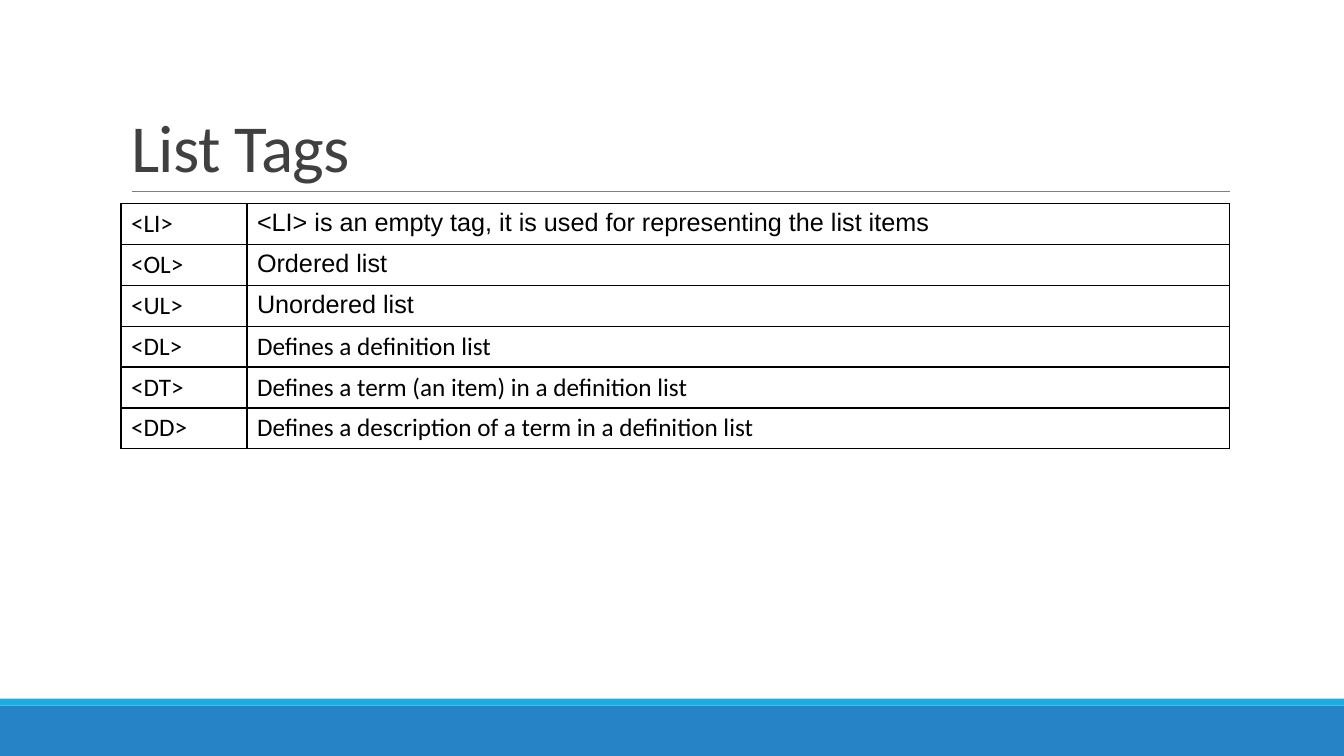
from lxml import etree
from pptx import Presentation
from pptx.dml.color import RGBColor
from pptx.enum.shapes import MSO_CONNECTOR, MSO_SHAPE
from pptx.enum.text import MSO_ANCHOR, MSO_AUTO_SIZE, PP_ALIGN
from pptx.oxml.ns import qn
from pptx.util import Pt

RECT = MSO_SHAPE.RECTANGLE
STRAIGHT = MSO_CONNECTOR.STRAIGHT
BOTTOM = MSO_ANCHOR.BOTTOM
NO_AUTOFIT = MSO_AUTO_SIZE.NONE
LEFT = PP_ALIGN.LEFT

WIDTH, HEIGHT = 960, 540
TITLE_ONLY = 5
ROW_HEIGHT = 29.2
LIST_TAGS = [
    ("<LI>", "<LI> is an empty tag, it is used for representing the list items", "Arial"),
    ("<OL>", "Ordered list", "Arial"),
    ("<UL>", "Unordered list", "Arial"),
    ("<DL>", "Defines a definition list", "Calibri"),
    ("<DT>", "Defines a term (an item) in a definition list", "Calibri"),
    ("<DD>", "Defines a description of a term in a definition list", "Calibri"),
]


def rgb(value):
    return RGBColor.from_string(value)


def write(tf, text, font="Calibri", size=18, color="000000", line_spacing=1.0, tracking=None):
    """Put one formatted paragraph into a text frame; tracking is in points."""
    p = tf.paragraphs[0]
    p.alignment = LEFT
    p.line_spacing = line_spacing
    r = p.add_run()
    r.text = text
    r.font.name = font
    r.font.size = Pt(size)
    r.font.bold = False
    r.font.color.rgb = rgb(color)
    if tracking is not None:
        r.font._element.set("spc", str(round(tracking * 100)))


class SlideBuilder:
    """Holds the style and the current slide; all lengths are in points."""

    border_color = "000000"
    border_width = 1

    def __init__(self, slide):
        self.slide = slide

    def band(self, y, height, color):
        sp = self.slide.shapes.add_shape(RECT, 0, Pt(y), Pt(WIDTH), Pt(height))
        sp.shadow.inherit = False
        sp.fill.solid()
        sp.fill.fore_color.rgb = rgb(color)
        sp.line.fill.background()

    def rule(self, x1, x2, y, color, width):
        line = self.slide.shapes.add_connector(STRAIGHT, Pt(x1), Pt(y), Pt(x2), Pt(y))
        line.line.color.rgb = rgb(color)
        line.line.width = Pt(width)
        etree.SubElement(line._element.spPr, qn("a:effectLst"))

    def title(self, text, x, y, width, height):
        sp = self.slide.shapes.title
        sp.left, sp.top, sp.width, sp.height = Pt(x), Pt(y), Pt(width), Pt(height)
        tf = sp.text_frame
        tf.word_wrap = True
        tf.auto_size = NO_AUTOFIT
        tf.vertical_anchor = BOTTOM
        write(tf, text, size=48, color="404040", line_spacing=0.85, tracking=-0.5)

    def border(self, cell):
        tc_pr = cell._tc.get_or_add_tcPr()
        for side in ("lnL", "lnR", "lnT", "lnB"):
            ln = etree.SubElement(tc_pr, qn(f"a:{side}"), w=str(Pt(self.border_width)))
            fill = etree.SubElement(ln, qn("a:solidFill"))
            etree.SubElement(fill, qn("a:srgbClr"), val=self.border_color)

    def table(self, rows, x, y, widths, row_height):
        """Draw rows of (tag, meaning, font of the meaning)."""
        frame = self.slide.shapes.add_table(
            len(rows), len(widths), Pt(x), Pt(y), Pt(sum(widths)), Pt(row_height * len(rows)))
        table = frame.table
        table.first_row = table.horz_banding = False
        for column, width in zip(table.columns, widths):
            column.width = Pt(width)
        for i, (tag, meaning, font) in enumerate(rows):
            table.rows[i].height = Pt(row_height)
            for j, (text, face) in enumerate([(tag, "Calibri"), (meaning, font)]):
                cell = table.cell(i, j)
                self.border(cell)
                cell.fill.background()
                write(cell.text_frame, text, font=face)


def main():
    prs = Presentation()
    prs.slide_width, prs.slide_height = Pt(WIDTH), Pt(HEIGHT)
    s = SlideBuilder(prs.slides.add_slide(prs.slide_layouts[TITLE_ONLY]))
    s.band(504, 36, "2683C6")
    s.band(499, 5, "1CADE4")
    s.rule(94.2, 878.8, 136.8, "808080", 0.5)
    s.title("List Tags", 86.4, 22.5, 792, 114.3)
    s.table(LIST_TAGS, 86.4, 145.4, [90, 702], ROW_HEIGHT)
    prs.save("out.pptx")


if __name__ == "__main__":
    main()
